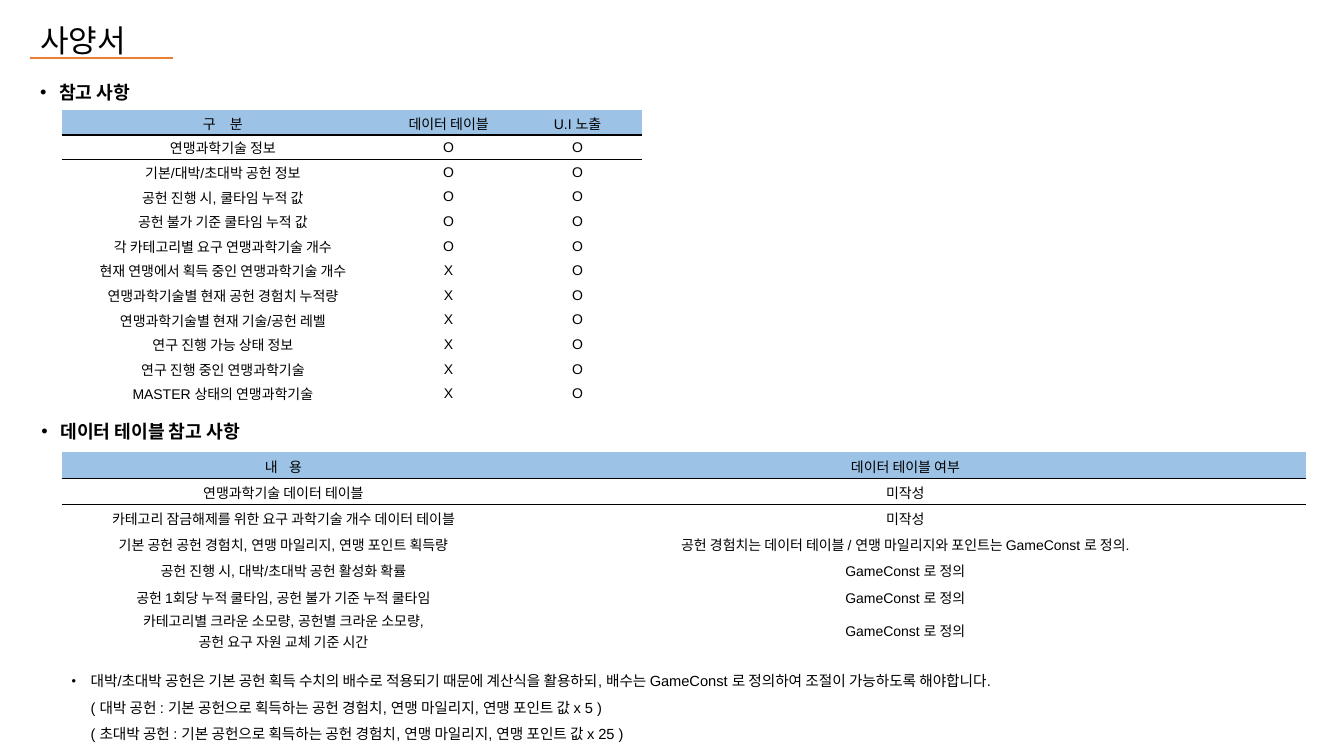
from pptx import Presentation
from pptx.dml.color import RGBColor
from pptx.enum.shapes import MSO_CONNECTOR
from pptx.enum.text import MSO_ANCHOR, MSO_AUTO_SIZE, PP_ALIGN
from pptx.oxml.ns import qn
from pptx.util import Cm, Pt
from lxml import etree

LINE = MSO_CONNECTOR.STRAIGHT
TOP, MIDDLE = MSO_ANCHOR.TOP, MSO_ANCHOR.MIDDLE
NO_FIT = MSO_AUTO_SIZE.NONE
LEFT, CENTER = PP_ALIGN.LEFT, PP_ALIGN.CENTER

COLORS = {"ink": "000000", "head": "9CC2E5", "cell": "FFFFFF", "rule": "ED7D31"}
FONT = "Arial"
PLAIN_STYLE = "{2D5ABB26-0587-4C30-8999-92F81FD0307C}"
INDENT = Cm(0.48)

ITEMS = [
    ("구 분", "데이터 테이블", "U.I 노출"),
    ("연맹과학기술 정보", "O", "O"),
    ("기본/대박/초대박 공헌 정보", "O", "O"),
    ("공헌 진행 시, 쿨타임 누적 값", "O", "O"),
    ("공헌 불가 기준 쿨타임 누적 값", "O", "O"),
    ("각 카테고리별 요구 연맹과학기술 개수", "O", "O"),
    ("현재 연맹에서 획득 중인 연맹과학기술 개수", "X", "O"),
    ("연맹과학기술별 현재 공헌 경험치 누적량", "X", "O"),
    ("연맹과학기술별 현재 기술/공헌 레벨", "X", "O"),
    ("연구 진행 가능 상태 정보", "X", "O"),
    ("연구 진행 중인 연맹과학기술", "X", "O"),
    ("MASTER 상태의 연맹과학기술", "X", "O"),
]
SOURCES = [
    ("내 용", "데이터 테이블 여부"),
    ("연맹과학기술 데이터 테이블", "미작성"),
    ("카테고리 잠금해제를 위한 요구 과학기술 개수 데이터 테이블", "미작성"),
    ("기본 공헌 공헌 경험치, 연맹 마일리지, 연맹 포인트 획득량",
     "공헌 경험치는 데이터 테이블 / 연맹 마일리지와 포인트는 GameConst 로 정의."),
    ("공헌 진행 시, 대박/초대박 공헌 활성화 확률", "GameConst 로 정의"),
    ("공헌 1회당 누적 쿨타임, 공헌 불가 기준 누적 쿨타임", "GameConst 로 정의"),
    ("카테고리별 크라운 소모량, 공헌별 크라운 소모량,\n공헌 요구 자원 교체 기준 시간",
     "GameConst 로 정의"),
]
NOTES = [
    "대박/초대박 공헌은 기본 공헌 획득 수치의 배수로 적용되기 때문에 계산식을 활용하되, "
    "배수는 GameConst 로 정의하여 조절이 가능하도록 해야합니다.",
    "( 대박 공헌 : 기본 공헌으로 획득하는 공헌 경험치, 연맹 마일리지, 연맹 포인트 값 x 5 )",
    "( 초대박 공헌 : 기본 공헌으로 획득하는 공헌 경험치, 연맹 마일리지, 연맹 포인트 값 x 25 )",
]


def color(name):
    return RGBColor.from_string(COLORS[name])


def style(para, size, bold=False):
    font = para.font
    font.name, font.size, font.bold = FONT, Pt(size), bold
    font.color.rgb = color("ink")


def place(shape, box):
    shape.left, shape.top, shape.width, shape.height = (Cm(n) for n in box)
    frame = shape.text_frame
    frame.word_wrap = True
    frame.auto_size = NO_FIT
    frame.vertical_anchor = TOP
    return frame


def bullet(para, scale, shown):
    props = para._p.get_or_add_pPr()
    props.set("marL", str(INDENT))
    props.set("indent", str(-INDENT if shown else 0))
    if not shown:
        etree.SubElement(props, qn("a:buNone"))
        return
    tint = etree.SubElement(props, qn("a:buClr"))
    etree.SubElement(tint, qn("a:srgbClr")).set("val", COLORS["ink"])
    etree.SubElement(props, qn("a:buSzPct")).set("val", str(scale * 1000))
    etree.SubElement(props, qn("a:buFont")).set("typeface", FONT)
    etree.SubElement(props, qn("a:buChar")).set("char", "•")


# Title with its short rule
def add_title(slide, box):
    para = place(slide.shapes.title, box).paragraphs[0]
    para.text = "사양서"
    para.alignment = LEFT
    para.line_spacing = 1.4
    style(para, 22.2)
    left, y = Cm(box[0]), Cm(box[1] + 1.43)
    rule = slide.shapes.add_connector(LINE, left, y, left + Cm(3.6), y)
    rule.line.color.rgb = color("rule")
    rule.line.width = Pt(1.5)
    etree.SubElement(rule._element.spPr, qn("a:effectLst"))


# Bulleted heading or list; only the first line carries a bullet
def add_list(holder, box, lines, size, bold=False, scale=100):
    frame = place(holder, box)
    frame.text = "\n".join(lines)
    for i, para in enumerate(frame.paragraphs):
        para.alignment = LEFT
        para.line_spacing = 1.5
        para.space_before = Pt(0)
        bullet(para, scale, i == 0)
        style(para, size, bold)


def add_edge(cell, side):
    edge = etree.SubElement(cell._tc.get_or_add_tcPr(), qn("a:" + side))
    edge.set("w", str(Pt(1)))
    fill = etree.SubElement(edge, qn("a:solidFill"))
    etree.SubElement(fill, qn("a:srgbClr")).set("val", COLORS["ink"])


def fill_cell(cell, text, row):
    cell.margin_left = cell.margin_right = cell.margin_top = Cm(0.03)
    cell.margin_bottom = 0
    cell.vertical_anchor = MIDDLE
    if row == 1:
        add_edge(cell, "lnT")
    if row < 2:
        add_edge(cell, "lnB")
    cell.fill.solid()
    cell.fill.fore_color.rgb = color("cell" if row else "head")
    para = cell.text_frame.paragraphs[0]
    para.text = text
    para.alignment = CENTER
    style(para, 10)


# Table with a tinted header; gap spreads the letters of the first header
def add_grid(slide, spot, widths, height, rows, gap):
    frame = slide.shapes.add_table(
        len(rows), len(widths), Cm(spot[0]), Cm(spot[1]),
        Cm(sum(widths)), Cm(height * len(rows)))
    table = frame.table
    table.first_row = table.horz_banding = False
    table._tbl.tblPr[0].text = PLAIN_STYLE
    for col, width in zip(table.columns, widths):
        col.width = Cm(width)
    for r, texts in enumerate(rows):
        table.rows[r].height = Cm(height)
        for c, text in enumerate(texts):
            fill_cell(table.cell(r, c), text, r)
    run = table.cell(0, 0).text_frame.paragraphs[0].runs[0]
    run._r.get_or_add_rPr().set("spc", str(gap * 100))


def main():
    deck = Presentation()
    deck.slide_width, deck.slide_height = Cm(33.87), Cm(19.05)
    slide = deck.slides.add_slide(deck.slide_layouts[4])
    first, notes, second, spare = list(slide.placeholders)[1:]
    spare._element.getparent().remove(spare._element)

    add_title(slide, (0.76, 0.03, 16.48, 1.63))
    add_list(first, (0.76, 1.65, 11.46, 1.42), ["참고 사항"], 13, True)
    add_grid(slide, (1.55, 2.78), (8.13, 3.25, 3.25), 0.62, ITEMS, 4)
    add_list(second, (0.79, 10.19, 11.46, 1.42), ["데이터 테이블 참고 사항"], 13, True)
    add_grid(slide, (1.55, 11.4), (11.18, 20.17), 0.66, SOURCES, 3)
    add_list(notes, (1.55, 16.59, 30.2, 2.13), NOTES, 10.5, scale=87)
    deck.save("out.pptx")


if __name__ == "__main__":
    main()
